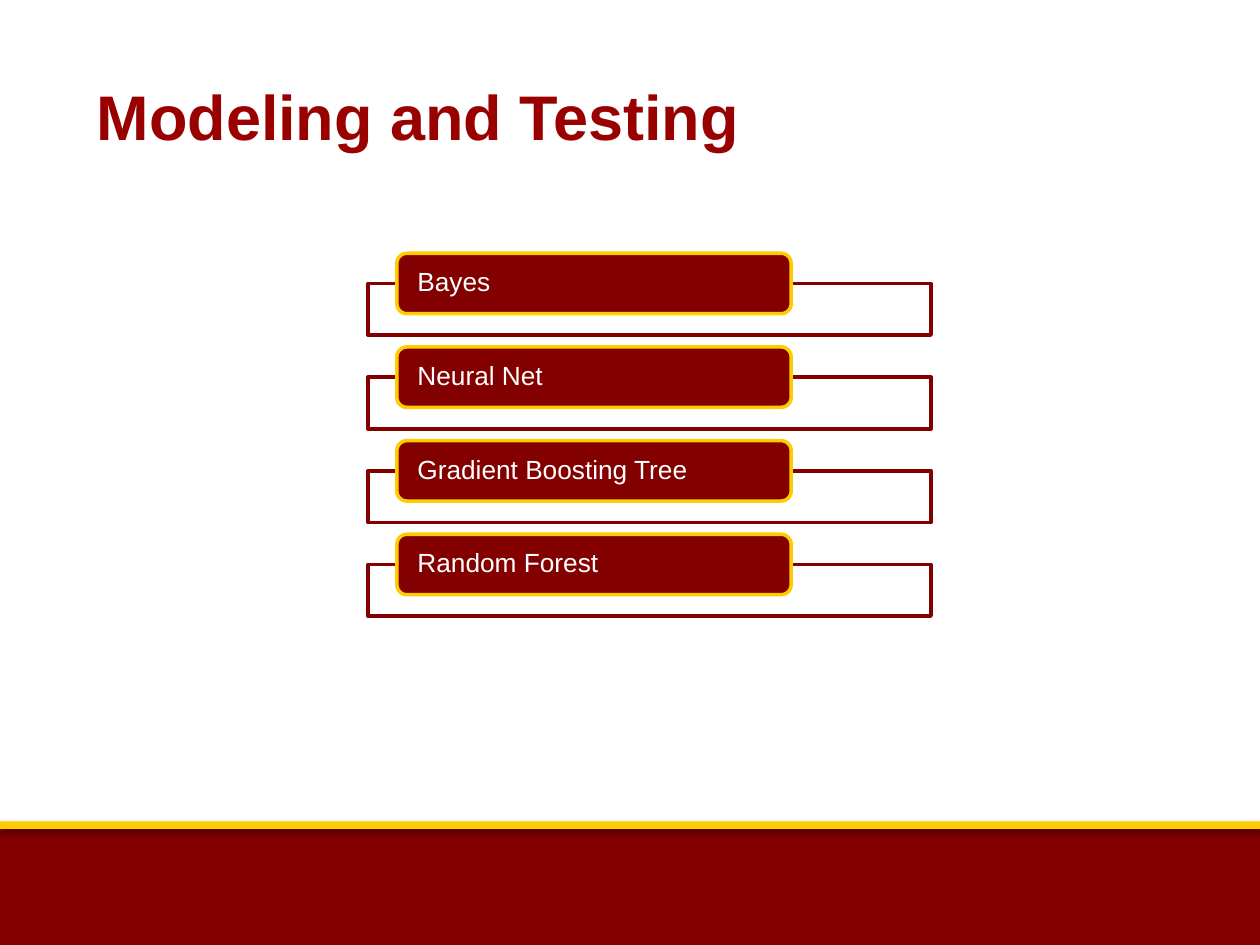
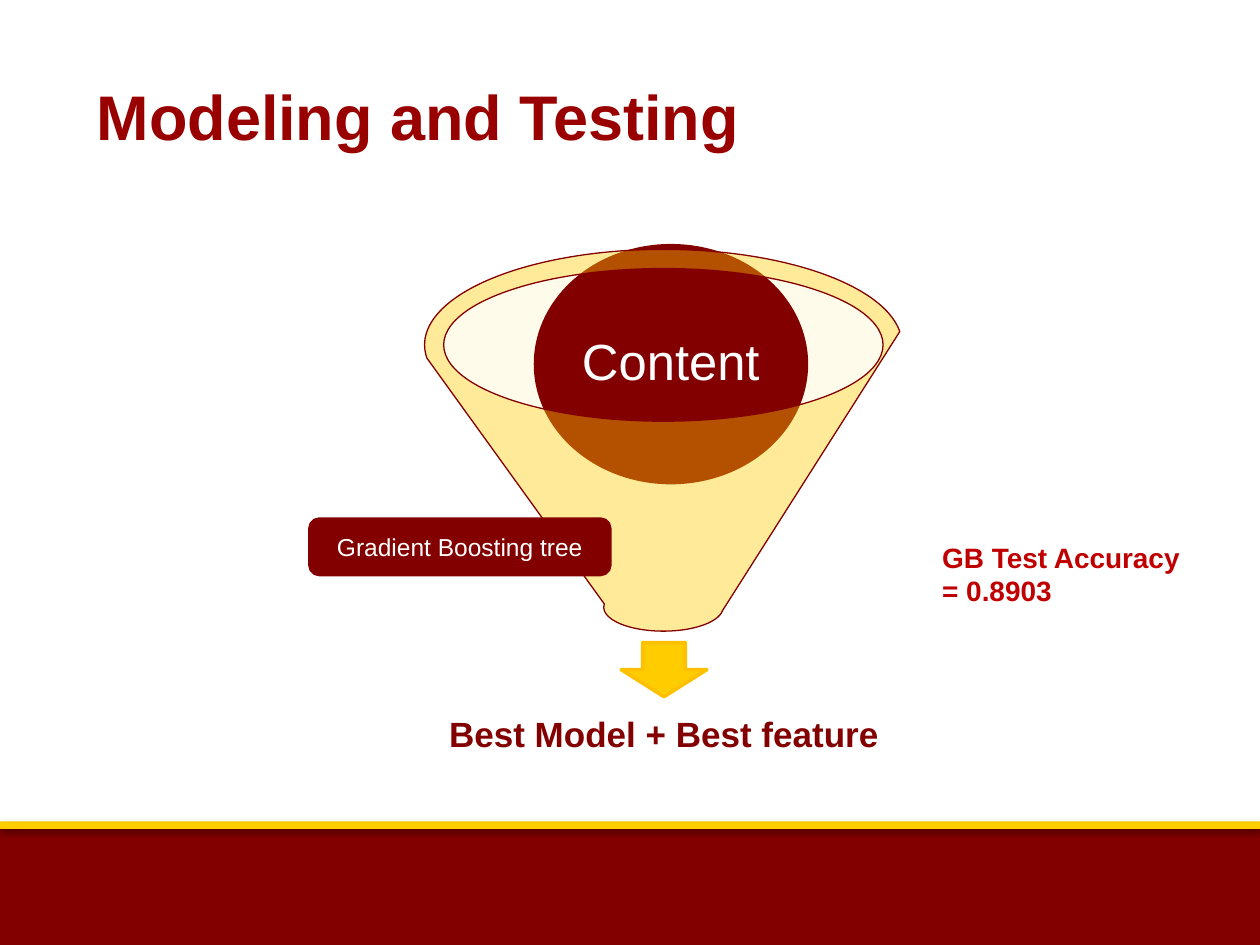
from lxml import etree
from pptx import Presentation
from pptx.dml.color import RGBColor
from pptx.enum.shapes import MSO_SHAPE
from pptx.enum.text import MSO_ANCHOR, PP_ALIGN
from pptx.oxml.ns import qn
from pptx.util import Inches, Pt

MAROON = RGBColor(0x83, 0x00, 0x00)
GOLD = RGBColor(0xFF, 0xCC, 0x00)
AMBER = RGBColor(0xFF, 0xC0, 0x00)
CREAM = RGBColor(0xFF, 0xF5, 0xCC)
WHITE = RGBColor(0xFF, 0xFF, 0xFF)
TITLE_RED = RGBColor(0x99, 0x00, 0x00)
ACCENT_RED = RGBColor(0xC0, 0x00, 0x00)

RECTANGLE = MSO_SHAPE.RECTANGLE
ROUNDED = MSO_SHAPE.ROUNDED_RECTANGLE
OVAL = MSO_SHAPE.OVAL
FUNNEL = MSO_SHAPE.FUNNEL
DOWN_ARROW = MSO_SHAPE.DOWN_ARROW
LEFT = PP_ALIGN.LEFT
CENTER = PP_ALIGN.CENTER
TOP = MSO_ANCHOR.TOP
MIDDLE = MSO_ANCHOR.MIDDLE

FONT = "Arial"
TITLE = "Modeling and Testing"
MODELS = ["Bayes", "Neural Net", "Gradient Boosting Tree", "Random Forest"]


class Deck:
    def __init__(self):
        self.presentation = Presentation()
        self.presentation.slide_width = Inches(10)
        self.presentation.slide_height = Inches(7.5)
        self.slide = None

    def add_slide(self, title):
        layout = self.presentation.slide_layouts[6]
        self.slide = self.presentation.slides.add_slide(layout)
        self.band(6.57, 0.93, MAROON, 34, 1.8)
        self.band(6.52, 0.06, GOLD, 37, 1.6)
        self.text_box(0.67, 0.29, 9, 1.25, title, 36, TITLE_RED, anchor=MIDDLE)

    def shape(self, kind, left, top, width, height, fill, opacity=100,
              line=None, line_width=2):
        shape = self.slide.shapes.add_shape(
            kind, Inches(left), Inches(top), Inches(width), Inches(height))
        shape.shadow.inherit = False
        shape.fill.solid()
        shape.fill.fore_color.rgb = fill
        if opacity < 100:
            color = shape.element.spPr.find(qn("a:solidFill"))[0]
            etree.SubElement(color, qn("a:alpha"), val=str(opacity * 1000))
        if line is None:
            shape.line.fill.background()
        else:
            shape.line.color.rgb = line
            shape.line.width = Pt(line_width)
        return shape

    def band(self, top, height, fill, opacity, distance):
        band = self.shape(RECTANGLE, 0, top, 10, height, fill)
        effects = band.element.spPr.find(qn("a:effectLst"))
        shadow = etree.SubElement(
            effects, qn("a:outerShdw"), blurRad=str(Pt(3.1)),
            dist=str(Pt(distance)), dir="5400000", rotWithShape="0")
        color = etree.SubElement(shadow, qn("a:srgbClr"), val="000000")
        etree.SubElement(color, qn("a:alpha"), val=str(opacity * 1000))

    def set_text(self, shape, text, size, color, bold=False, align=LEFT,
                 anchor=MIDDLE, side_inset=0.1):
        frame = shape.text_frame
        frame.word_wrap = True
        frame.vertical_anchor = anchor
        frame.margin_left = frame.margin_right = Inches(side_inset)
        frame.text = text
        paragraph = frame.paragraphs[0]
        paragraph.alignment = align
        font = paragraph.runs[0].font
        font.name = FONT
        font.size = Pt(size)
        font.bold = bold
        font.color.rgb = color
        return paragraph

    def text_box(self, left, top, width, height, text, size, color,
                 align=LEFT, anchor=TOP):
        box = self.slide.shapes.add_textbox(
            Inches(left), Inches(top), Inches(width), Inches(height))
        return self.set_text(box, text, size, color, True, align, anchor)

    def model_row(self, top, name):
        self.shape(RECTANGLE, 2.92, top + 0.24, 4.47, 0.41, WHITE, 90, MAROON)
        label = self.shape(ROUNDED, 3.15, top, 3.13, 0.48, MAROON, line=GOLD)
        paragraph = self.set_text(label, name, 15, WHITE, side_inset=0.14)
        paragraph.line_spacing = 0.9


def build_model_list(deck):
    deck.add_slide(TITLE)
    first_top, last_top = 2.01, 4.24
    pitch = (last_top - first_top) / (len(MODELS) - 1)
    for index, name in enumerate(MODELS):
        deck.model_row(first_top + index * pitch, name)


def build_funnel(deck):
    deck.add_slide(TITLE)
    deck.shape(OVAL, 3.52, 2.13, 3.49, 1.21, CREAM, 40)
    deck.shape(DOWN_ARROW, 4.93, 5.1, 0.68, 0.43, GOLD, line=AMBER)
    result = deck.text_box(2.83, 5.44, 4.88, 0.81, "Best Model + Best feature",
                           20, MAROON, CENTER, MIDDLE)
    result.line_spacing = 0.9
    content = deck.shape(OVAL, 4.25, 1.95, 2.15, 1.88, MAROON, line=MAROON)
    paragraph = deck.set_text(content, "Content", 29, WHITE, align=CENTER,
                              side_inset=0.04)
    paragraph.line_spacing = 0.9
    deck.shape(FUNNEL, 3.37, 1.98, 3.79, 3.03, GOLD, 40, MAROON, 0.75)
    model = deck.shape(ROUNDED, 2.46, 4.12, 2.38, 0.44, MAROON, line=MAROON)
    deck.set_text(model, "Gradient Boosting tree", 14, WHITE, align=CENTER)
    deck.text_box(7.38, 4.24, 2.13, 0.64, "GB Test Accuracy = 0.8903",
                  16, ACCENT_RED)


def main():
    deck = Deck()
    build_model_list(deck)
    build_funnel(deck)
    deck.presentation.save("out.pptx")


if __name__ == "__main__":
    main()
